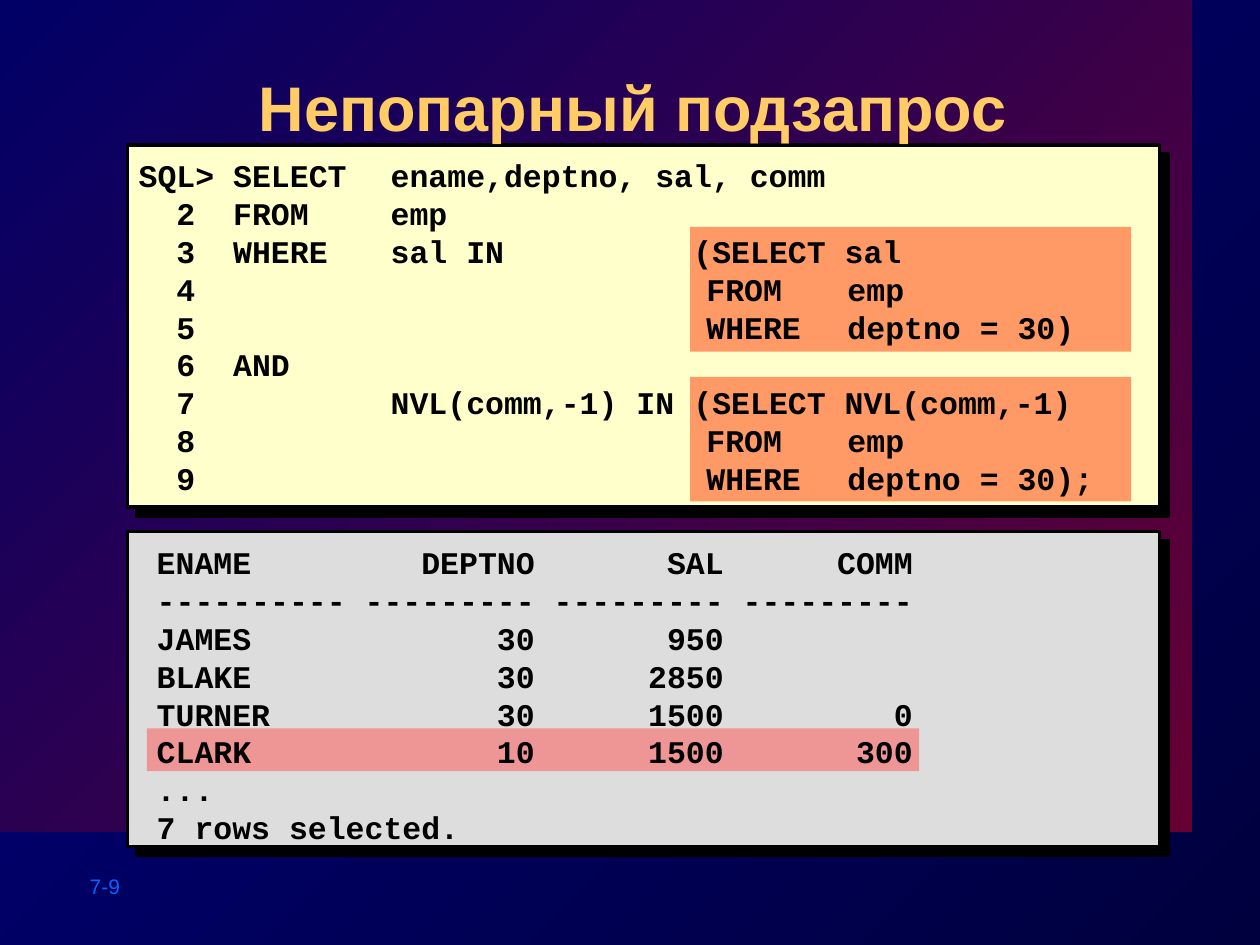
"""Build the slide on a non-pairwise subquery: a query, its result and highlights."""
from lxml.etree import SubElement
from pptx import Presentation
from pptx.dml.color import RGBColor
from pptx.enum.shapes import MSO_SHAPE
from pptx.enum.text import MSO_ANCHOR, PP_ALIGN
from pptx.oxml.ns import qn
from pptx.util import Pt

BLACK = RGBColor(0x00, 0x00, 0x00)
NIGHT = RGBColor(0x00, 0x00, 0x3F)
NAVY = RGBColor(0x00, 0x00, 0x80)
INDIGO = RGBColor(0x00, 0x00, 0x66)
WINE = RGBColor(0x66, 0x00, 0x33)
GOLD = RGBColor(0xFF, 0xCC, 0x66)
CREAM = RGBColor(0xFF, 0xFF, 0xCC)
GREY = RGBColor(0xDD, 0xDD, 0xDD)
ORANGE = RGBColor(0xFF, 0x99, 0x66)
RED = RGBColor(0xFF, 0x50, 0x50)
BLUE = RGBColor(0x00, 0x66, 0xFF)

TITLE = "Непопарный подзапрос"
PAGE = "7-9"
QUERY = [
    "SQL>\tSELECT\tename,deptno, sal, comm",
    "\t2\tFROM\temp",
    "\t3\tWHERE\tsal IN\t(SELECT sal",
    "\t4\t\t\t\tFROM\temp",
    "\t5\t\t\t\tWHERE\tdeptno = 30)",
    "\t6\tAND",
    "\t7\t\tNVL(comm,-1) IN\t(SELECT NVL(comm,-1)",
    "\t8\t\t\t\tFROM\temp",
    "\t9\t\t\t\tWHERE\tdeptno = 30);",
]
RESULT = [
    ("ENAME", "DEPTNO", "SAL", "COMM"),
    ("---------- --------- --------- ---------",),
    ("JAMES", "30", "950"),
    ("BLAKE", "30", "2850"),
    ("TURNER", "30", "1500", "0"),
    ("CLARK", "10", "1500", "300"),
    ("...",),
    ("7 rows selected.",),
]
QUERY_TABS = [(32.4, "r"), (54, "l"), (144, "l"), (317, "l"), (324.4, "l"), (405, "l")]
RESULT_TABS = [(216, "r"), (324, "r"), (432, "r")]
CODE = {"name": "Courier New", "size": Pt(18), "bold": True}
HEADING = {"name": "Arial", "size": Pt(36), "bold": True}
SMALL = {"name": "Arial", "size": Pt(12), "bold": False}
PANEL_LEFT, PANEL_WIDTH = 72.9, 589.7


def style(r, font, color):
    for name, value in font.items():
        setattr(r.font, name, value)
    r.font.color.rgb = color


def gradient(fill, start, end):
    fill.gradient()
    fill.gradient_angle = 135
    for stop, color in zip(fill.gradient_stops, (start, end)):
        stop.color.rgb = color


def add_shadow(effects, distance):
    shadow = SubElement(effects, qn("a:outerShdw"), dist=str(Pt(distance)),
                        dir="2700000", algn="tl", rotWithShape="0")
    SubElement(shadow, qn("a:srgbClr"), val=str(BLACK))


def add_rect(s, box, color=None):
    sp = s.shapes.add_shape(MSO_SHAPE.RECTANGLE, *map(Pt, box))
    sp.shadow.inherit = False
    sp.line.fill.background()
    if color is not None:
        sp.fill.solid()
        sp.fill.fore_color.rgb = color
    return sp


def add_panel(s, top, height, color):
    sp = add_rect(s, (PANEL_LEFT, top, PANEL_WIDTH, height), color)
    sp.line.color.rgb = BLACK
    sp.line.width = Pt(2)
    add_shadow(sp._element.spPr.find(qn("a:effectLst")), 7.1)


def add_text(s, box, lines, font, color, tabs=(), spacing=None):
    tf = s.shapes.add_textbox(*map(Pt, box)).text_frame
    tf.word_wrap = True
    tf.vertical_anchor = MSO_ANCHOR.MIDDLE
    for i, line in enumerate(lines):
        p = tf.add_paragraph() if i else tf.paragraphs[0]
        r = p.add_run()
        r.text = line
        p.line_spacing = spacing
        style(r, font, color)
        if tabs:
            tab_list = SubElement(p._p.get_or_add_pPr(), qn("a:tabLst"))
            for position, align in tabs:
                SubElement(tab_list, qn("a:tab"), pos=str(Pt(position)), algn=align)


def add_title(s):
    sp = s.shapes.title
    s.shapes._spTree.append(sp._element)
    sp.left, sp.top, sp.width, sp.height = map(Pt, (74.2, 31, 574.6, 69.1))
    tf = sp.text_frame
    tf.text = TITLE
    tf.vertical_anchor = MSO_ANCHOR.TOP
    tf.margin_top = Pt(8)
    p = tf.paragraphs[0]
    p.alignment = PP_ALIGN.CENTER
    r = p.runs[0]
    style(r, HEADING, GOLD)
    effects = SubElement(r._r.rPr, qn("a:effectLst"))
    r._r.rPr.find(qn("a:solidFill")).addnext(effects)
    add_shadow(effects, 3)


def main():
    prs = Presentation()
    prs.slide_width, prs.slide_height = Pt(720), Pt(540)
    s = prs.slides.add_slide(prs.slide_layouts[5])
    gradient(s.background.fill, NIGHT, NAVY)
    gradient(add_rect(s, (0, 0, 681.1, 475.4)).fill, WINE, INDIGO)
    add_text(s, (44.2, 495.4, 79.9, 21.6), [PAGE], SMALL, BLUE)

    add_panel(s, 83, 206.8, CREAM)
    for top in (129.6, 215.3):
        add_rect(s, (394.4, top, 252, 71.3), ORANGE)
    add_text(s, (72.2, 82.2, 604.8, 208.8), QUERY, CODE, BLACK, QUERY_TABS, Pt(21.6))

    add_panel(s, 303.8, 180, GREY)
    add_title(s)
    highlight = add_rect(s, (84, 416.2, 441.2, 24.5), RED)
    color = highlight._element.spPr.find(qn("a:solidFill")).find(qn("a:srgbClr"))
    SubElement(color, qn("a:alpha"), val="50000")
    rows = ["\t".join(row) for row in RESULT]
    add_text(s, (82.5, 305.8, 604.8, 182.2), rows, CODE, BLACK, RESULT_TABS, Pt(21.6))
    prs.save("out.pptx")


if __name__ == "__main__":
    main()
